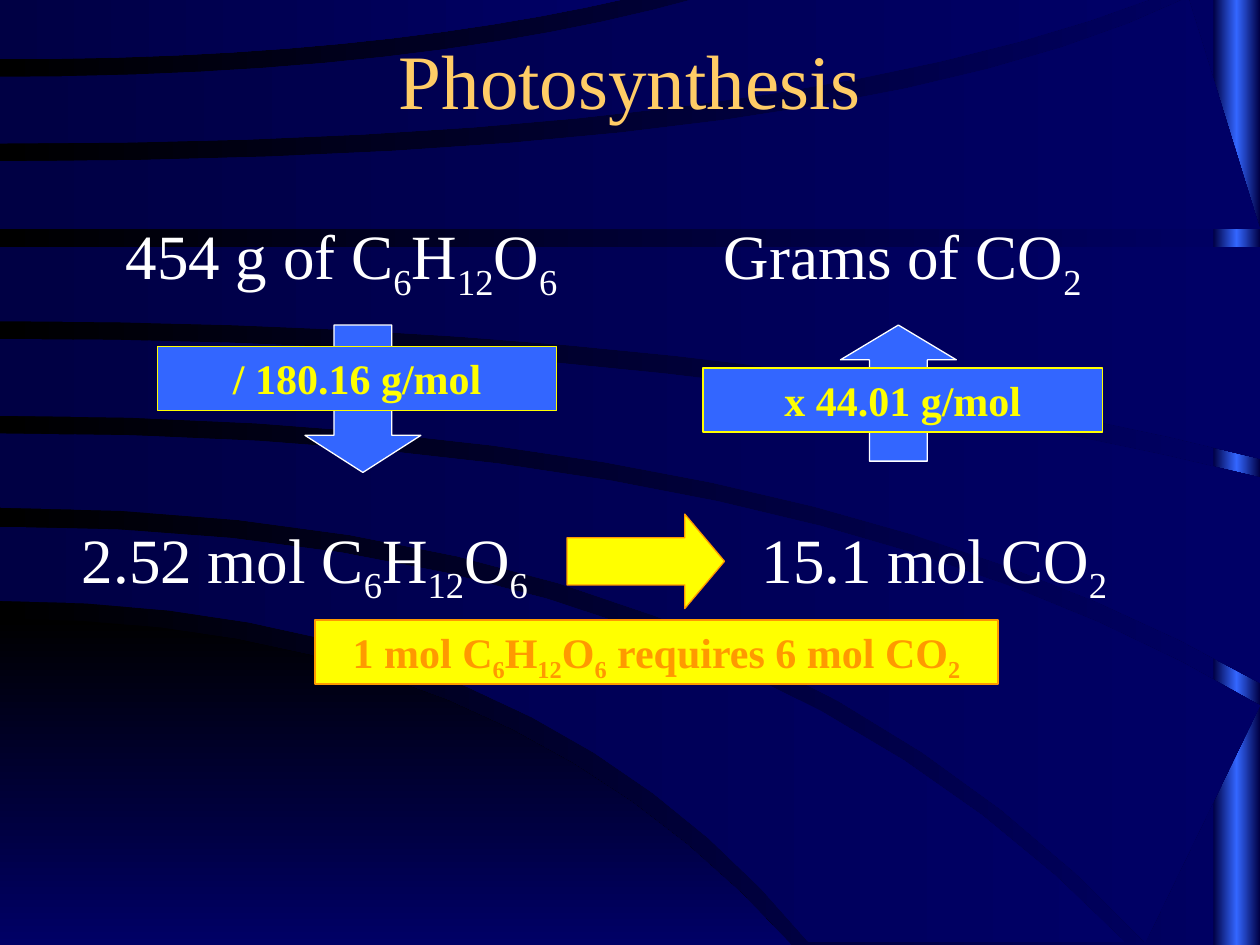
from copy import deepcopy
from pptx import Presentation
from pptx import util as u
from pptx.dml.color import RGBColor
from pptx.enum import shapes, text

FONT = "Times New Roman"
HEX = {"black": "000000", "navy": "000066", "dark": "000044", "blue": "3366FF",
       "white": "FFFFFF", "yellow": "FFFF00", "orange": "FF9900", "gold": "FFCC66"}

STEP_COUNT = 12
DOME = ((4.91, 3.96, 6.28, 7.5), (7.5, 3, 6.28, 7.5))
BANDS = [
    ((4.18, 5.74, 8.93, 7.48), (4.77, 4.19, 6.42, 7.48)),
    ((3.44, 6.4, 10, 5.6), (4.03, 5.88, 9.09, 7.48)),
    ((2.69, 5.54, 10, 3.79), (3.3, 6.3, 10, 5.42)),
    ((1.96, 5, 10, 1.96), (2.55, 5.7, 10, 3.64)),
    ((1.28, 6.75, 9.43, -0.02), (1.82, 5, 10, 1.82)),
    ((0.61, 3.32, 5.56, -0.02), (1.14, 6.16, 9.17, -0.02)),
    ((-0.02, 2.5, 5.01, -0.02), (0.47, 2.9, 5.01, -0.02)),
]

SUGAR = "C|6|H|12|O|6|"
CO2 = "CO|2"
LABELS = [
    ("454 g of " + SUGAR, (0.75, 1.67, 3.92, 0.7)),
    ("Grams of " + CO2, (5.33, 1.67, 3.67, 0.7)),
    ("2.52 mol " + SUGAR, (0.17, 4.08, 4.5, 0.7)),
    ("15.1 mol " + CO2, (5.58, 4.08, 3.67, 0.7)),
]
KIND = shapes.MSO_SHAPE
ARROWS = [
    (KIND.DOWN_ARROW, (2.42, 2.58, 0.92, 1.17), 0.32, "blue", "white"),
    (KIND.RIGHT_ARROW, (4.5, 4.08, 1.25, 0.75), 0.42, "yellow", "orange"),
    (KIND.UP_ARROW, (6.67, 2.58, 0.92, 1.08), 0.3, "blue", "white"),
]
STEPS = [
    ("/ 180.16 g/mol", (1.25, 2.75, 3.17, 0.51), "blue", "yellow"),
    ("1 mol " + SUGAR + " requires 6 mol " + CO2, (2.5, 4.92, 5.42, 0.51), "yellow", "orange"),
    ("x 44.01 g/mol", (5.58, 2.92, 3.17, 0.51), "blue", "yellow"),
]


def rgb(name):
    return RGBColor.from_string(HEX[name])


def blend(fill, names, angle=0):
    fill.gradient()
    fill.gradient_angle = angle
    for extra in names[2:]:
        last = fill.gradient_stops[-1]._gs
        last.addnext(deepcopy(last))
    for i, (stop, name) in enumerate(zip(fill.gradient_stops, names)):
        stop.color.rgb = rgb(name)
        stop.position = i / (len(names) - 1)


def curve(start, bend, right, end):
    spots = []
    for i in range(STEP_COUNT + 1):
        t = i / STEP_COUNT
        x = 2 * t * (1 - t) * bend + t * t * right
        y = start + t * t * (end - start)
        spots.append((u.Inches(x), u.Inches(y)))
    return spots


def plain(shape, names, angle=0):
    shape.shadow.inherit = False
    shape.line.fill.background()
    blend(shape.fill, names, angle)


def sweep(edges, names, angle=0):
    upper, lower = edges
    spots = curve(*upper) + curve(*lower)[::-1]
    pen = slide.shapes.build_freeform(*spots[0])
    pen.add_line_segments(spots[1:])
    plain(pen.convert_to_shape(), names, angle)


def block(kind, place, fill, line):
    shape = slide.shapes.add_shape(kind, *map(u.Inches, place))
    shape.shadow.inherit = False
    shape.fill.solid()
    shape.fill.fore_color.rgb = rgb(fill)
    shape.line.color.rgb = rgb(line)
    shape.line.width = u.Pt(0.75)
    return shape


def write(shape, words, size, color, bold=False, anchor=text.MSO_ANCHOR.TOP):
    frame = shape.text_frame
    frame.word_wrap = True
    frame.vertical_anchor = anchor
    para = frame.paragraphs[0]
    para.alignment = text.PP_ALIGN.CENTER
    for i, part in enumerate(words.split("|")):
        if not part:
            continue
        run = para.add_run()
        run.text = part
        run.font.name = FONT
        run.font.size = u.Pt(size)
        run.font.bold = bold
        run.font.color.rgb = rgb(color)
        if i % 2:
            run._r.get_or_add_rPr().set("baseline", "-25000")


def label(words, place, size, color, **more):
    box = slide.shapes.add_textbox(*map(u.Inches, place))
    write(box, words, size, color, **more)


deck = Presentation()
deck.slide_width, deck.slide_height = u.Inches(10), u.Inches(7.5)
slide = deck.slides.add_slide(deck.slide_layouts[6])
blend(slide.background.fill, ["black", "navy"])

strip = slide.shapes.add_shape(KIND.RECTANGLE, *map(u.Inches, (9.63, 0, 0.37, 7.5)))
plain(strip, ["dark", "blue", "dark"])
sweep(DOME, ["black", "navy"], 270)
for band in BANDS:
    sweep(band, ["dark", "navy"])

label("Photosynthesis", (0.75, 0, 8.5, 1.25), 44, "gold", anchor=text.MSO_ANCHOR.MIDDLE)
for words, place in LABELS:
    label(words, place, 36, "white")
for kind, place, head, fill, line in ARROWS:
    arrow = block(kind, place, fill, line)
    arrow.adjustments[0], arrow.adjustments[1] = 0.5, head
for words, place, fill, ink in STEPS:
    write(block(KIND.RECTANGLE, place, fill, ink), words, 24, ink, bold=True)

deck.save("out.pptx")
